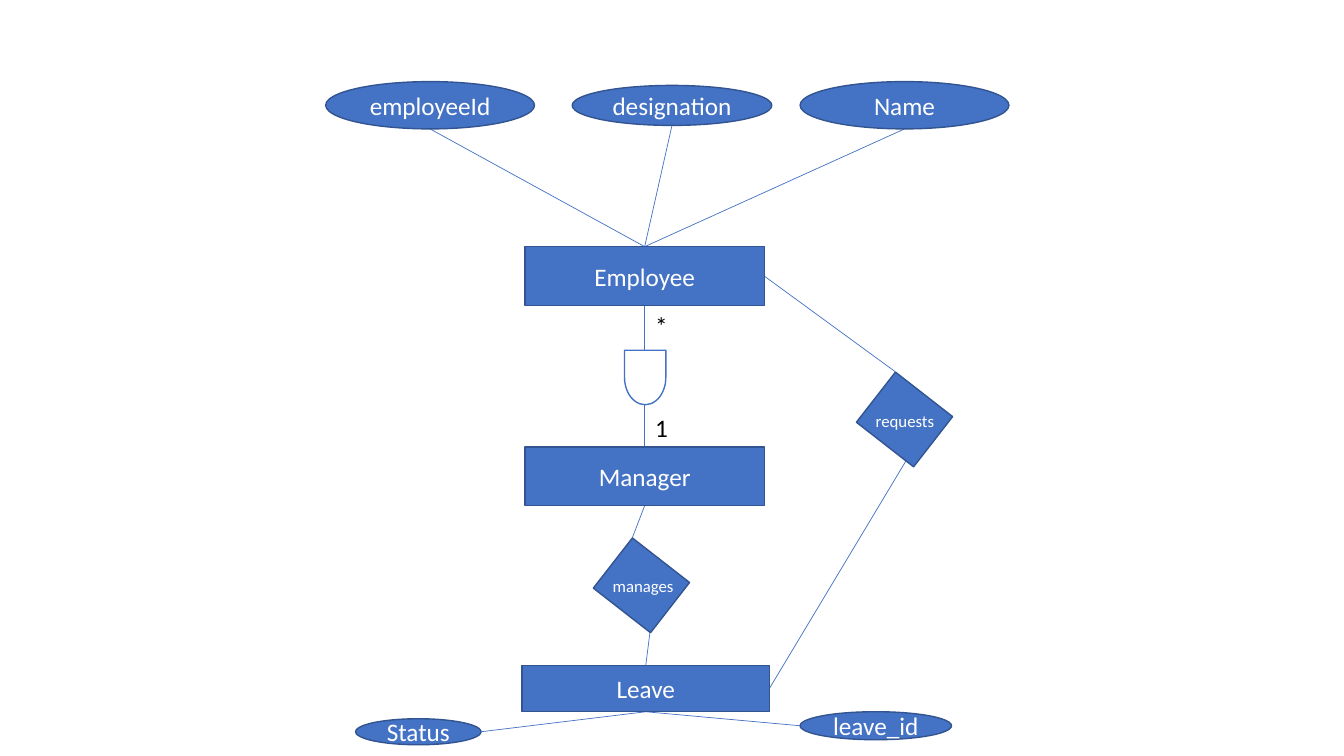
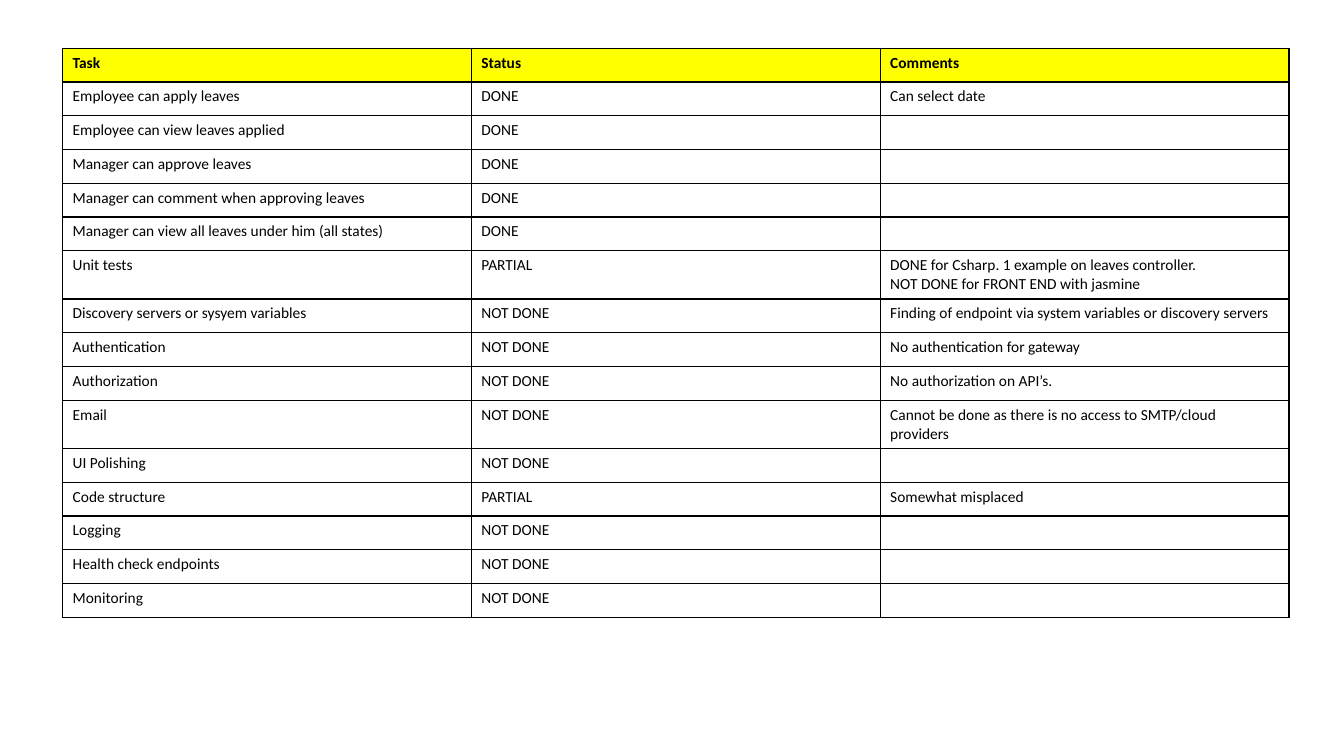
"""Build an entity diagram of leave requests and a table of task status."""
from lxml import etree
from pptx import Presentation
from pptx.dml.color import RGBColor
from pptx.enum.shapes import MSO_CONNECTOR, MSO_SHAPE
from pptx.enum.text import MSO_ANCHOR, PP_ALIGN
from pptx.oxml.ns import qn
from pptx.util import Pt

STRAIGHT = MSO_CONNECTOR.STRAIGHT
RECTANGLE = MSO_SHAPE.RECTANGLE
OVAL = MSO_SHAPE.FLOWCHART_CONNECTOR
PROCESS = MSO_SHAPE.FLOWCHART_PROCESS
DELAY = MSO_SHAPE.FLOWCHART_DELAY
MIDDLE, TOP = MSO_ANCHOR.MIDDLE, MSO_ANCHOR.TOP
CENTER, LEFT = PP_ALIGN.CENTER, PP_ALIGN.LEFT

FONT = "Calibri"
BLUE, EDGE, WHITE, BLACK, YELLOW = "4472C4", "325491", "FFFFFF", "000000", "FFFF00"

ENTITIES = {
    "Employee": (375.1, 176.2, 170.8, 42),
    "Manager": (375.1, 319.2, 170.8, 42),
    "Leave": (373, 475.2, 176.6, 33.2),
}
ATTRIBUTES = {
    "employeeId": (232.6, 58.3, 149.2, 33.8),
    "designation": (408.7, 61, 142.6, 28.6),
    "Name": (571.5, 58.3, 149.2, 33.8),
    "leave_id": (571.5, 508.4, 108.2, 20),
    "Status": (254, 513.4, 89.6, 18.6),
}
RELATIONS = {
    "manages": (435.5, 392.2, 45.4, 51.8),
    "requests": (623.4, 273.7, 45.4, 51.8),
}
GATE = (441.4, 254.9, 38.9, 29.5)
CARDINALITIES = [("*", 218.2), ("1", 291)]
LINKS = [
    ("Employee", "bottom", "Manager", "top"),
    ("employeeId", "bottom", "Employee", "top"),
    ("designation", "bottom", "Employee", "top"),
    ("Name", "bottom", "Employee", "top"),
    ("Manager", "bottom", "manages", "upper corner"),
    ("manages", "lower edge", "Leave", "top"),
    ("Employee", "right", "requests", "upper corner"),
    ("requests", "lower edge", "Leave", "right"),
    ("Leave", "bottom", "leave_id", "left"),
    ("Leave", "bottom", "Status", "right"),
]

TASKS = [
    ("Task", "Status", "Comments"),
    ("Employee can apply leaves", "DONE", "Can select date"),
    ("Employee can view leaves applied", "DONE", ""),
    ("Manager can approve leaves", "DONE", ""),
    ("Manager can comment when approving leaves", "DONE", ""),
    ("Manager can view all leaves under him (all states)", "DONE", ""),
    ("Unit tests", "PARTIAL",
     "DONE for Csharp. 1 example on leaves controller.\nNOT DONE for FRONT END with jasmine"),
    ("Discovery servers or sysyem variables", "NOT DONE",
     "Finding of endpoint via system variables or discovery servers"),
    ("Authentication", "NOT DONE", "No authentication for gateway"),
    ("Authorization", "NOT DONE", "No authorization on API’s."),
    ("Email", "NOT DONE", "Cannot be done as there is no access to SMTP/cloud providers"),
    ("UI Polishing", "NOT DONE", ""),
    ("Code structure", "PARTIAL", "Somewhat misplaced"),
    ("Logging", "NOT DONE", ""),
    ("Health check endpoints", "NOT DONE", ""),
    ("Monitoring", "NOT DONE", ""),
]
TABLE_LEFT, TABLE_TOP, COLUMN_WIDTH, ROW_HEIGHT = 44.7, 34.4, 292, 24.15


def color(value):
    return RGBColor.from_string(value)


def points(values):
    return [Pt(value) for value in values]


def write(frame, text, size, ink, align=LEFT, bold=False):
    for index, line in enumerate(text.split("\n")):
        para = frame.add_paragraph() if index else frame.paragraphs[0]
        para.alignment = align
        if line:
            span = para.add_run()
            span.text = line
            span.font.name, span.font.size, span.font.bold = FONT, Pt(size), bold
            span.font.color.rgb = color(ink)
        else:
            etree.SubElement(para._p, qn("a:endParaRPr"), sz=str(size * 100))


def add_box(page, kind, bounds, text="", fill=BLUE, edge=EDGE, turn=0):
    box = page.shapes.add_shape(kind, *points(bounds))
    box.shadow.inherit = False
    box.rotation = turn
    box.fill.solid()
    box.fill.fore_color.rgb = color(fill)
    box.line.color.rgb = color(edge)
    box.line.width = Pt(1)
    if text:
        box.text_frame.word_wrap = True
        box.text_frame.vertical_anchor = MIDDLE
        write(box.text_frame, text, 18, WHITE, CENTER)


def add_label(page, bounds, text, size, ink):
    box = page.shapes.add_textbox(*points(bounds))
    box.text_frame.word_wrap = True
    box.text_frame.vertical_anchor = TOP
    write(box.text_frame, text, size, ink)


def anchor(bounds, side):
    left, top, width, height = bounds
    across, down = {
        "top": (0, -height / 2), "bottom": (0, height / 2),
        "left": (-width / 2, 0), "right": (width / 2, 0),
        "upper corner": (-6.5, -34), "lower edge": (8, 18),
    }[side]
    return left + width / 2 + across, top + height / 2 + down


def add_link(page, start, end):
    link = page.shapes.add_connector(STRAIGHT, *points(start + end))
    link.line.color.rgb = color(BLUE)
    link.line.width = Pt(0.5)
    etree.SubElement(link._element.spPr, qn("a:effectLst"))


def border(cell):
    props = cell._tc.get_or_add_tcPr()
    for index, side in enumerate(("lnL", "lnR", "lnT", "lnB")):
        line = etree.Element(qn("a:" + side), w=str(Pt(1)))
        fill = etree.SubElement(line, qn("a:solidFill"))
        etree.SubElement(fill, qn("a:srgbClr"), val=BLACK)
        props.insert(index, line)


def build_diagram(page):
    places = {**ENTITIES, **ATTRIBUTES, **RELATIONS}
    for source, source_side, target, target_side in LINKS:
        add_link(page, anchor(places[source], source_side), anchor(places[target], target_side))
    for name, bounds in ENTITIES.items():
        add_box(page, RECTANGLE, bounds, name)
    for name, bounds in ATTRIBUTES.items():
        add_box(page, OVAL, bounds, name)
    for name, bounds in RELATIONS.items():
        add_box(page, PROCESS, bounds, turn=307.9)
        left, top = bounds[:2]
        add_label(page, (left - 5, top + 15.8, 61.2, 21.8), name, 12, WHITE)
    add_box(page, DELAY, GATE, fill=WHITE, edge=BLUE, turn=90)
    for mark, top in CARDINALITIES:
        add_label(page, (460.8, top, 44.6, 29), mark, 18, BLACK)


def build_table(page):
    rows, columns = len(TASKS), len(TASKS[0])
    bounds = (TABLE_LEFT, TABLE_TOP, COLUMN_WIDTH * columns, ROW_HEIGHT * rows)
    table = page.shapes.add_table(rows, columns, *points(bounds)).table
    table.first_row = table.horz_banding = False
    for column in table.columns:
        column.width = Pt(COLUMN_WIDTH)
    for row_index, task in enumerate(TASKS):
        heading = row_index == 0
        table.rows[row_index].height = Pt(ROW_HEIGHT)
        for column_index, text in enumerate(task):
            cell = table.cell(row_index, column_index)
            if heading:
                cell.fill.solid()
                cell.fill.fore_color.rgb = color(YELLOW)
            else:
                cell.fill.background()
            border(cell)
            write(cell.text_frame, text, 11, BLACK, bold=heading)


deck = Presentation()
deck.slide_width, deck.slide_height = Pt(960), Pt(540)
for build in (build_diagram, build_table):
    build(deck.slides.add_slide(deck.slide_layouts[6]))
deck.save("out.pptx")
